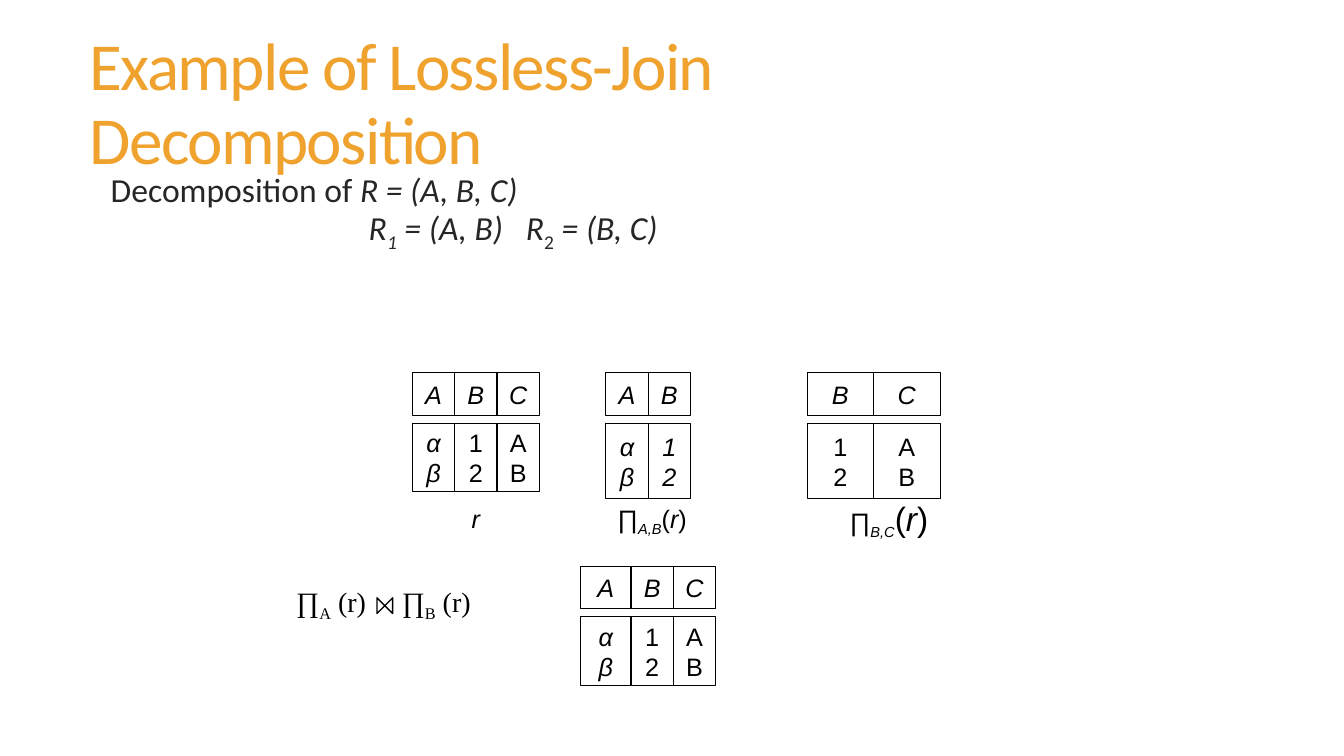
from dataclasses import dataclass
from itertools import accumulate

from lxml.etree import SubElement
from pptx import Presentation
from pptx.dml.color import RGBColor
from pptx.enum.shapes import MSO_SHAPE
from pptx.enum.text import MSO_ANCHOR as Anchor, MSO_AUTO_SIZE as AutoSize, PP_ALIGN as Align
from pptx.oxml.ns import qn
from pptx.util import Pt

BLACK = RGBColor(0x00, 0x00, 0x00)
WHITE = RGBColor(0xFF, 0xFF, 0xFF)
ORANGE = RGBColor(0xF0, 0xA2, 0x2E)
CHARCOAL = RGBColor(0x26, 0x26, 0x26)

TITLE_FONT = {"name": "Calibri", "size": Pt(48)}
BODY_FONT = {"name": "Calibri", "size": Pt(24)}
CELL_FONT = {"name": "Arial", "size": Pt(18)}
JOIN_FONT = {"name": "Times New Roman", "size": Pt(20)}

HEADER_HEIGHT = 30.25
BODY_OFFSET = 36


@dataclass(frozen=True)
class Piece:
    text: str
    italic: bool = False
    subscript: bool = False
    size: float | None = None


@dataclass(frozen=True)
class Column:
    name: str
    width: float
    values: tuple[str, str]
    italic_values: bool = False


@dataclass(frozen=True)
class Relation:
    left: float
    top: float
    body_height: float
    columns: tuple[Column, ...]


@dataclass(frozen=True)
class Label:
    box: tuple[float, float, float, float]
    pieces: tuple[Piece, ...]


RELATIONS = (
    Relation(294.5, 266.4, 49, (
        Column("A", 30.25, ("α", "β"), True),
        Column("B", 30.25, ("1", "2")),
        Column("C", 30.25, ("A", "B")))),
    Relation(432.7, 266.4, 54, (
        Column("A", 30.25, ("α", "β"), True),
        Column("B", 30.25, ("1", "2"), True))),
    Relation(576.7, 266.4, 54, (
        Column("B", 47, ("1", "2")),
        Column("C", 48, ("A", "B")))),
    Relation(414.7, 404.6, 49, (
        Column("A", 36, ("α", "β"), True),
        Column("B", 30.25, ("1", "2")),
        Column("C", 30.25, ("A", "B")))),
)

LABELS = (
    Label((329.8, 355.7, 20.2, 28.8), (Piece("r", italic=True),)),
    Label((414.7, 357.1, 102.2, 28.8), (
        Piece("∏"), Piece("A,B", True, True),
        Piece("("), Piece("r", True), Piece(")"))),
    Label((594, 352.8, 82, 36), (
        Piece("∏"), Piece("B,C", True, True),
        Piece("(", size=24), Piece("r", True, size=24), Piece(")", size=24))),
)

DECOMPOSITION = (
    Piece("Decomposition of "), Piece("R = (A, B, C)", True), Piece("\n"),
    Piece("\tR", True), Piece("1", True, True), Piece(" = (A, B)\tR", True),
    Piece("2", False, True), Piece(" = (B, C)", True),
)

JOIN = (
    Piece("∏"), Piece("A", subscript=True), Piece(" (r)\t∏"),
    Piece("B", subscript=True), Piece(" (r)"),
)


def set_attributes(target, values: dict) -> None:
    for name, value in values.items():
        setattr(target, name, value)


def add_pieces(paragraph, pieces: tuple[Piece, ...], font: dict, color: RGBColor) -> None:
    for piece in pieces:
        if piece.text == "\n":
            paragraph.add_line_break()
            continue
        run = paragraph.add_run()
        run.text = piece.text
        set_attributes(run.font, font | {"italic": piece.italic})
        run.font.color.rgb = color
        if piece.size:
            run.font.size = Pt(piece.size)
        if piece.subscript:
            run._r.get_or_add_rPr().set("baseline", "-25000")


def add_tabs(paragraph, stops: tuple[float, ...]) -> None:
    tab_list = SubElement(paragraph._p.get_or_add_pPr(), qn("a:tabLst"))
    for stop in stops:
        SubElement(tab_list, qn("a:tab"), pos=str(Pt(stop)), algn="l")


def add_text(slide, box: tuple[float, float, float, float], wrap: bool):
    frame = slide.shapes.add_textbox(*map(Pt, box)).text_frame
    frame.word_wrap = wrap
    return frame


def add_cell(slide, box: tuple[float, float, float, float],
             lines: tuple[str, ...], italic: bool) -> None:
    shape = slide.shapes.add_shape(MSO_SHAPE.RECTANGLE, *map(Pt, box))
    shape.shadow.inherit = False
    shape.fill.solid()
    shape.fill.fore_color.rgb = WHITE
    shape.line.color.rgb = BLACK
    shape.line.width = Pt(0.75)
    frame = shape.text_frame
    set_attributes(frame, {"word_wrap": False, "vertical_anchor": Anchor.MIDDLE})
    for index, line in enumerate(lines):
        paragraph = frame.add_paragraph() if index else frame.paragraphs[0]
        paragraph.alignment = Align.CENTER
        add_pieces(paragraph, (Piece(line, italic),), CELL_FONT, BLACK)


def add_relation(slide, relation: Relation) -> None:
    lefts = accumulate((column.width for column in relation.columns), initial=relation.left)
    for left, column in zip(lefts, relation.columns):
        add_cell(slide, (left, relation.top, column.width, HEADER_HEIGHT),
                 (column.name,), True)
        add_cell(slide, (left, relation.top + BODY_OFFSET, column.width, relation.body_height),
                 column.values, column.italic_values)


def add_label(slide, label: Label) -> None:
    frame = add_text(slide, label.box, wrap=False)
    frame.vertical_anchor = Anchor.MIDDLE
    frame.paragraphs[0].alignment = Align.CENTER
    add_pieces(frame.paragraphs[0], label.pieces, CELL_FONT, BLACK)


def add_bowtie(slide, left: float, top: float, size: float) -> None:
    right, bottom = left + size, top + size
    builder = slide.shapes.build_freeform(Pt(left), Pt(top))
    corners = ((left, bottom), (right, top), (right, bottom))
    builder.add_line_segments([(Pt(x), Pt(y)) for x, y in corners], close=True)
    shape = builder.convert_to_shape()
    shape.shadow.inherit = False
    shape.fill.background()
    shape.line.color.rgb = BLACK
    shape.line.width = Pt(1)


def add_title(slide) -> None:
    title = slide.shapes.title
    set_attributes(title, {"left": Pt(57), "top": Pt(45.4), "width": Pt(745), "height": Pt(59.8)})
    frame = title.text_frame
    set_attributes(frame, {"word_wrap": True, "auto_size": AutoSize.NONE,
                           "vertical_anchor": Anchor.MIDDLE, "margin_right": Pt(36)})
    paragraph = frame.paragraphs[0]
    set_attributes(paragraph, {"alignment": Align.LEFT, "line_spacing": 0.91})
    add_pieces(paragraph, (Piece("Example of Lossless-Join Decomposition"),), TITLE_FONT, ORANGE)
    paragraph.runs[0]._r.get_or_add_rPr().set("spc", "-120")


def main() -> None:
    presentation = Presentation()
    set_attributes(presentation, {"slide_width": Pt(960), "slide_height": Pt(540)})
    slide = presentation.slides.add_slide(presentation.slide_layouts[5])

    # Title and the decomposed schemas
    add_title(slide)
    paragraph = add_text(slide, (64.8, 121.7, 550.8, 95), wrap=True).paragraphs[0]
    paragraph.line_spacing = 0.85
    paragraph._p.get_or_add_pPr().set("marL", str(Pt(7.2)))
    add_tabs(paragraph, (184.3, 296.6))
    add_pieces(paragraph, DECOMPOSITION, BODY_FONT, CHARCOAL)

    # Relations and the labels below them
    for relation in RELATIONS:
        add_relation(slide, relation)
    for label in LABELS:
        add_label(slide, label)

    # Natural join of the projections
    paragraph = add_text(slide, (204.5, 414, 198, 68.4), wrap=True).paragraphs[0]
    add_tabs(paragraph, (75.4,))
    add_pieces(paragraph, JOIN, JOIN_FONT, BLACK)
    add_bowtie(slide, 269.3, 427, 11.2)

    presentation.save("out.pptx")


if __name__ == "__main__":
    main()
